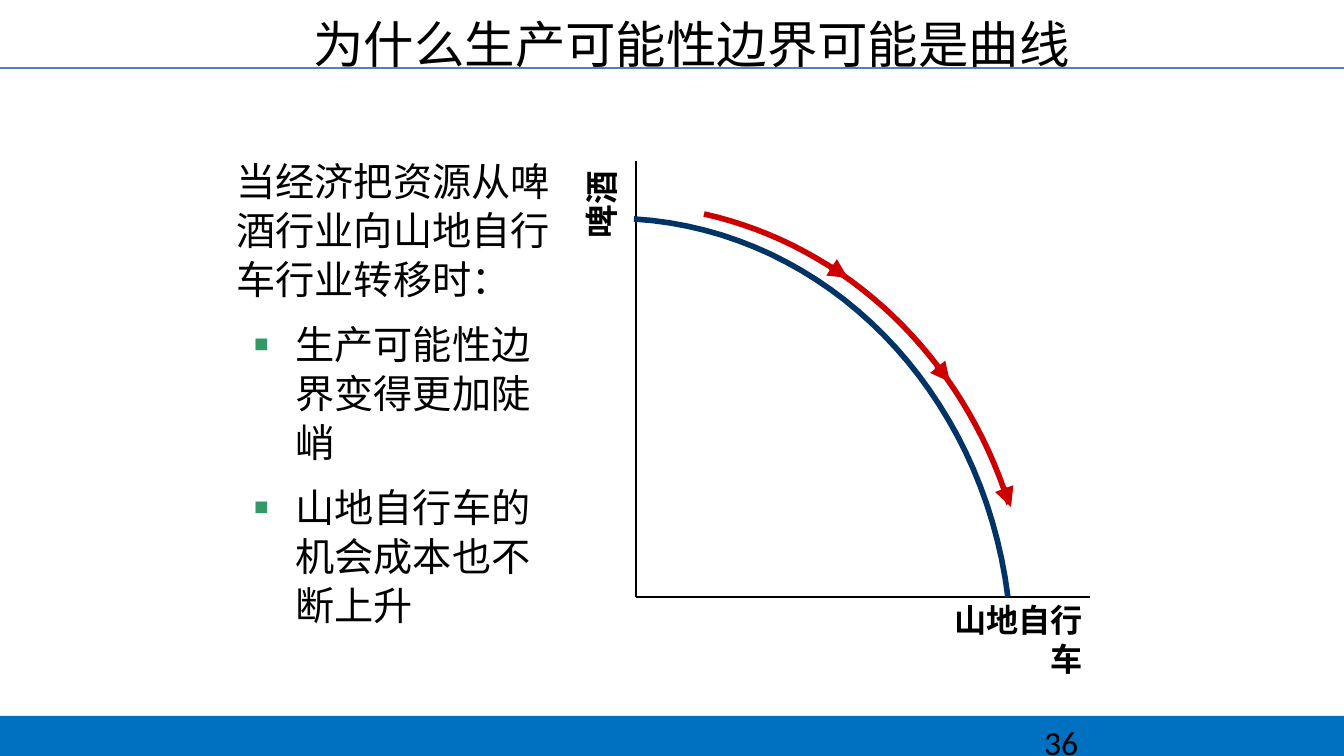
import pptx
import pptx.dml.color
import pptx.enum.shapes
import pptx.enum.text
import pptx.oxml
import pptx.oxml.ns
import pptx.util

RGBColor = pptx.dml.color.RGBColor
BLACK = RGBColor(0x00, 0x00, 0x00)
FOOTER_BLUE = RGBColor(0x00, 0x70, 0xC0)
RULE_BLUE = RGBColor(0x4F, 0x81, 0xBD)
FRONTIER_NAVY = RGBColor(0x00, 0x33, 0x66)
SHIFT_RED = RGBColor(0xCC, 0x00, 0x00)
BULLET_GREEN = RGBColor(0x33, 0x99, 0x66)

EMU_PER_PX = 914400 / 134.4
SLIDE_WIDTH, SLIDE_HEIGHT = 1344, 756
CURVE_STEPS = 32
ALIGN = pptx.enum.text.PP_ALIGN
ANCHOR = pptx.enum.text.MSO_ANCHOR


def px(value):
    return pptx.util.Emu(round(value * EMU_PER_PX))


def add_element(parent, tag, **attributes):
    element = pptx.oxml.parse_xml(f"<a:{tag} {pptx.oxml.ns.nsdecls('a')}/>")
    for name, value in attributes.items():
        element.set(name, value)
    parent.append(element)
    return element


def style_paragraph(paragraph, text, size, font, align=ALIGN.LEFT, bold=False):
    paragraph.text = text
    paragraph.alignment = align
    paragraph.font.size = pptx.util.Pt(size)
    paragraph.font.name = font
    paragraph.font.bold = bold
    paragraph.font.color.rgb = BLACK


def add_text(slide, box, text, size, font, align=ALIGN.LEFT, bold=False, anchor=ANCHOR.TOP):
    shape = slide.shapes.add_textbox(*map(px, box))
    shape.text_frame.word_wrap = True
    shape.text_frame.vertical_anchor = anchor
    style_paragraph(shape.text_frame.paragraphs[0], text, size, font, align, bold)
    return shape


def add_line(slide, start, end, color, width, arrow=False):
    connector = slide.shapes.add_connector(
        pptx.enum.shapes.MSO_CONNECTOR.STRAIGHT, *map(px, start + end))
    connector.line.color.rgb = color
    connector.line.width = pptx.util.Pt(width)
    if arrow:
        add_element(connector.line._get_or_add_ln(), "tailEnd", type="triangle")
    add_element(connector._element.spPr, "effectLst")


def bezier_point(controls, t):
    weights = ((1 - t) ** 3, 3 * t * (1 - t) ** 2, 3 * t ** 2 * (1 - t), t ** 3)
    return tuple(
        px(sum(weight * value for weight, value in zip(weights, axis)))
        for axis in zip(*controls))


def add_curve(slide, controls, color):
    points = [bezier_point(controls, step / CURVE_STEPS) for step in range(CURVE_STEPS + 1)]
    builder = slide.shapes.build_freeform(*points[0])
    builder.add_line_segments(points[1:], close=False)
    shape = builder.convert_to_shape()
    shape.shadow.inherit = False
    shape.fill.background()
    shape.line.color.rgb = color
    shape.line.width = pptx.util.Pt(3)


def add_header(slide, left, top, width, height):
    add_line(slide, (left, top + height), (left + width, top + height), RULE_BLUE, 1)
    add_text(slide, (left + 238, top + 5, 907, 77), "为什么生产可能性边界可能是曲线",
             27, "Calibri", ALIGN.CENTER, anchor=ANCHOR.MIDDLE)


def add_footer(slide, left, top, width, height):
    band = slide.shapes.add_shape(
        pptx.enum.shapes.MSO_SHAPE.RECTANGLE, *map(px, (left, top, width, height)))
    band.shadow.inherit = False
    band.fill.solid()
    band.fill.fore_color.rgb = FOOTER_BLUE
    band.line.fill.background()
    add_text(slide, (left + 1031, top - 1, 313, 40), "36", 18, "Calibri")


def add_explanation(slide, left, top, width, height):
    shape = add_text(slide, (left, top, width, height),
                     "当经济把资源从啤酒行业向山地自行车行业转移时：", 21, "Arial")
    frame = shape.text_frame
    frame.paragraphs[0].line_spacing = 1.05
    for text in ("生产可能性边界变得更加陡峭", "山地自行车的机会成本也不断上升"):
        paragraph = frame.add_paragraph()
        style_paragraph(paragraph, text, 21, "Arial")
        paragraph.level = 1
        paragraph.line_spacing = 1.05
        paragraph.space_before = pptx.util.Pt(8)
        properties = paragraph._element.get_or_add_pPr()
        properties.set("marL", str(px(59)))
        properties.set("indent", str(px(-42)))
        default_font = properties.find(pptx.oxml.ns.qn("a:defRPr"))
        properties.remove(default_font)
        bullet_color = add_element(properties, "buClr")
        add_element(bullet_color, "srgbClr", val=str(BULLET_GREEN))
        add_element(properties, "buSzPct", val="120000")
        add_element(properties, "buFont", typeface="Arial")
        add_element(properties, "buChar", char="▪")
        properties.append(default_font)


def add_frontier(slide, left, top, width, height):
    def at(x, y):
        return left + x, top + y

    origin = at(0, height)
    add_line(slide, at(0, 0), origin, BLACK, 0.75)
    add_line(slide, origin, at(width, height), BLACK, 0.75)
    add_text(slide, (*at(274, height - 3), 186, 91), "山地自行车", 17.2, "Arial", ALIGN.RIGHT, True)
    vertical_label = add_text(
        slide, (*at(-115, 50), 160, 54), "啤酒", 18, "Arial", ALIGN.RIGHT, True)
    vertical_label.rotation = 270

    add_curve(slide, [at(-2, 58), at(191, 70), at(346, 229), at(372, height)], FRONTIER_NAVY)
    add_curve(slide, [at(68, 53), at(211, 85), at(326, 195), at(373, 343)], SHIFT_RED)
    arrows = (((195, 106), (212, 117)), ((301, 205), (314, 221)), ((368, 327), (375, 346)))
    for start, end in arrows:
        add_line(slide, at(*start), at(*end), SHIFT_RED, 3.5, arrow=True)


def main():
    presentation = pptx.Presentation()
    presentation.slide_width = px(SLIDE_WIDTH)
    presentation.slide_height = px(SLIDE_HEIGHT)
    slide = presentation.slides.add_slide(presentation.slide_layouts[6])
    add_footer(slide, 0, 716, SLIDE_WIDTH, 40)
    add_header(slide, 0, 0, SLIDE_WIDTH, 68)
    add_frontier(slide, 636, 161, 454, 436)
    add_explanation(slide, 223, 148, 350, 476)
    presentation.save("out.pptx")


if __name__ == "__main__":
    main()
